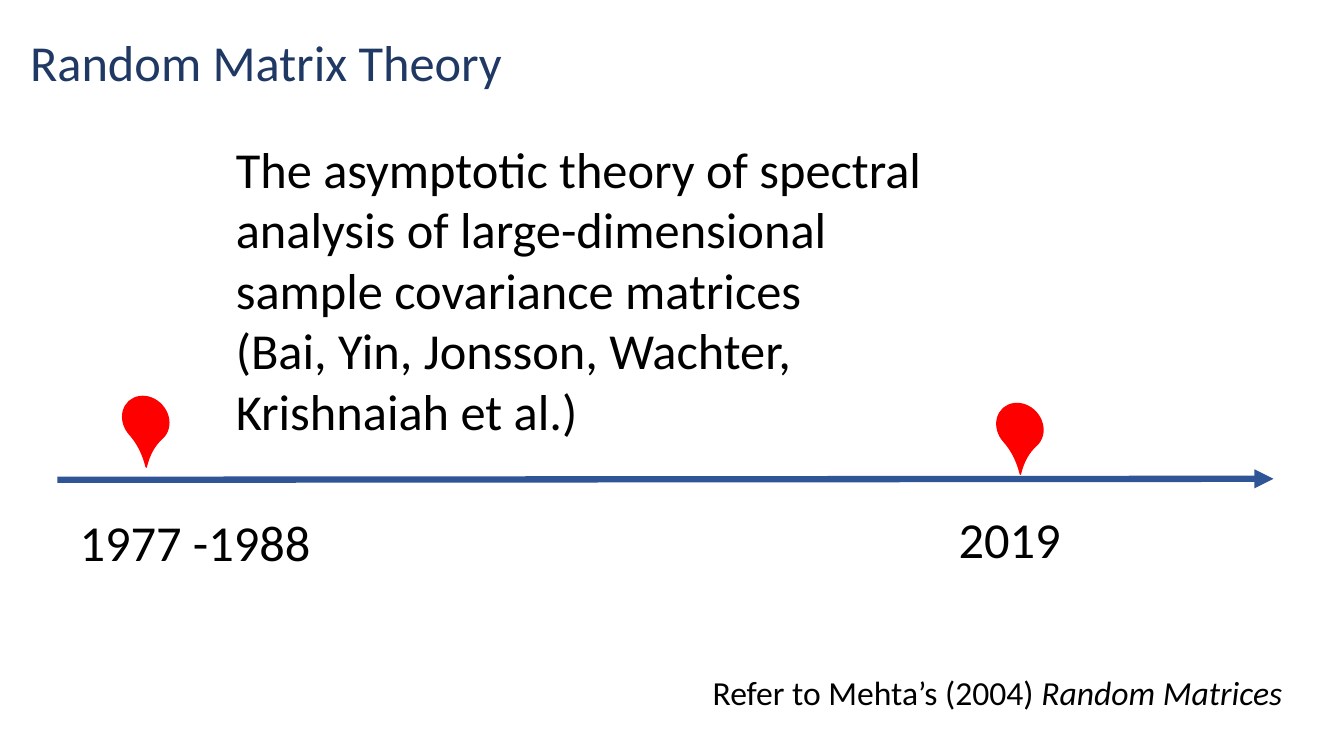
from lxml import etree
from pptx import Presentation
from pptx.dml.color import RGBColor
from pptx.enum.shapes import MSO_CONNECTOR, MSO_SHAPE
from pptx.oxml.ns import qn
from pptx.util import Inches, Pt

STRAIGHT = MSO_CONNECTOR.STRAIGHT
TEARDROP = MSO_SHAPE.TEAR
NAVY = RGBColor(0x20, 0x38, 0x64)
BLUE = RGBColor(0x2F, 0x55, 0x97)
RED = RGBColor(0xFF, 0x00, 0x00)
BLACK = RGBColor(0x00, 0x00, 0x00)
FONT = "Calibri"


def add_text(slide, box, text, size=36, color=BLACK):
    """Add a wrapped text box and return its text frame."""
    text_box = slide.shapes.add_textbox(*map(Inches, box))
    text_frame = text_box.text_frame
    text_frame.word_wrap = True
    text_frame.text = text
    for paragraph in text_frame.paragraphs:
        for run in paragraph.runs:
            run.font.name = FONT
            run.font.size = Pt(size)
            run.font.color.rgb = color
    return text_frame


def add_axis(slide, start, end):
    """Draw the timeline arrow from start to end."""
    axis = slide.shapes.add_connector(STRAIGHT, *map(Inches, start + end))
    axis.line.color.rgb = BLUE
    axis.line.width = Pt(4.5)
    etree.SubElement(axis.line._get_or_add_ln(), qn("a:tailEnd"), type="triangle")
    etree.SubElement(axis._element.spPr, qn("a:effectLst"))


def add_milestone(slide, pin_position, label_box, label):
    """Add a red map pin with its date below the timeline."""
    left, top = pin_position
    pin = slide.shapes.add_shape(
        TEARDROP, Inches(left), Inches(top), Inches(0.49), Inches(0.43))
    pin.adjustments[0] = 1.44
    pin.rotation = 228.2
    pin._element.spPr.find(qn("a:xfrm")).set("flipH", "1")
    pin.shadow.inherit = False
    pin.fill.solid()
    pin.fill.fore_color.rgb = RED
    pin.line.color.rgb = RED
    pin.line.width = Pt(1)
    add_text(slide, label_box, label)


def add_reference(slide, box):
    """Add the reading reference with the book title in italics."""
    text_frame = add_text(slide, box, "Refer to Mehta’s (2004) ", size=24)
    book = text_frame.paragraphs[0].add_run()
    book.text = "Random Matrices"
    book.font.name = FONT
    book.font.size = Pt(24)
    book.font.color.rgb = BLACK
    book.font.italic = True


def build_timeline_slide(presentation):
    """Build the random matrix theory timeline."""
    slide = presentation.slides.add_slide(presentation.slide_layouts[6])
    add_text(slide, (0.2, 0.26, 6.46, 0.71), "Random Matrix Theory", color=NAVY)
    add_axis(slide, (0.57, 4.76), (12.63, 4.75))
    add_milestone(slide, (1.2, 3.95), (0.69, 5.02, 2.49, 0.71), "1977 -1988")
    add_milestone(slide, (9.87, 4.02), (9.41, 4.99, 2.49, 0.71), "2019")
    add_reference(slide, (6.97, 6.62, 6.2, 0.5))
    add_text(slide, (2.24, 1.32, 7.08, 3.13),
             "The asymptotic theory of spectral analysis of "
             "large-dimensional sample covariance matrices\n"
             "(Bai, Yin, Jonsson, Wachter, Krishnaiah et al.)")


def main():
    """Create and save the presentation."""
    presentation = Presentation()
    presentation.slide_width = Inches(13.33)
    presentation.slide_height = Inches(7.5)
    build_timeline_slide(presentation)
    presentation.save("out.pptx")


if __name__ == "__main__":
    main()
